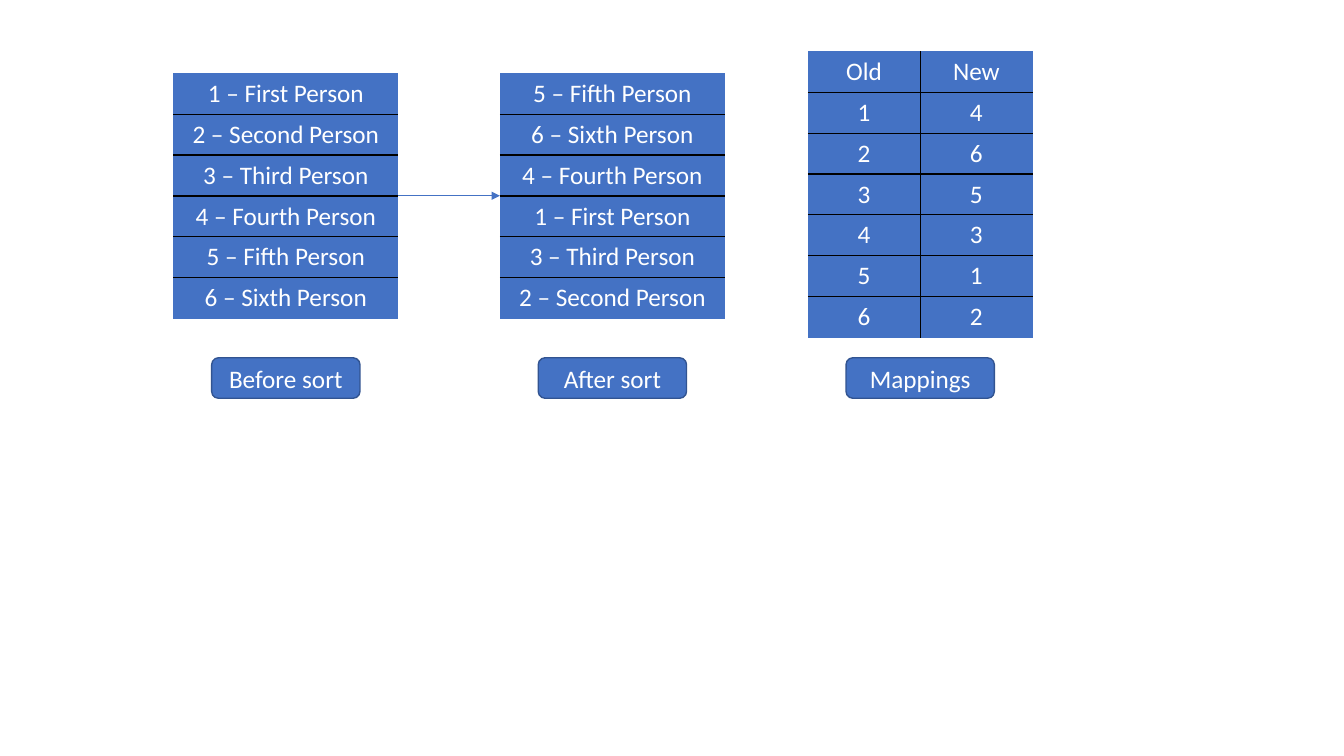
import dataclasses

import pptx
import pptx.dml.color
import pptx.enum.shapes
import pptx.enum.text
import pptx.oxml
import pptx.oxml.ns
import pptx.util


@dataclasses.dataclass(frozen=True)
class Theme:
    blue: str = "4472C4"
    outline: str = "325491"
    rule: str = "000000"
    text: str = "FFFFFF"
    font: str = "Calibri"
    size: int = 18
    rule_width: float = 1
    arrow_width: float = 0.5


@dataclasses.dataclass(frozen=True)
class Box:
    left: int
    top: int
    width: int
    height: int


THEME = Theme()
SLIDE_WIDTH = pptx.util.Inches(13.33)
SLIDE_HEIGHT = pptx.util.Inches(7.5)
ROW_SHARE = 5.4
LIST_WIDTH_SHARE = 16.73
LABEL_TOP_SHARE = 47.33
LABEL_WIDTH_SHARE = 11.03
LABEL_HEIGHT_SHARE = 5.35

PEOPLE = ["First", "Second", "Third", "Fourth", "Fifth", "Sixth"]
BEFORE = [1, 2, 3, 4, 5, 6]
AFTER = [5, 6, 4, 1, 3, 2]


def across(percent):
    return round(SLIDE_WIDTH * percent / 100)


def down(percent):
    return round(SLIDE_HEIGHT * percent / 100)


def rgb(value):
    return pptx.dml.color.RGBColor.from_string(value)


def fill_text(text_frame, text):
    text_frame.text = text
    paragraph = text_frame.paragraphs[0]
    paragraph.alignment = pptx.enum.text.PP_ALIGN.CENTER
    for run in paragraph.runs:
        run.font.name = THEME.font
        run.font.size = pptx.util.Pt(THEME.size)
        run.font.color.rgb = rgb(THEME.text)


def rule_cell(cell, inner_sides):
    properties = cell._tc.get_or_add_tcPr()
    for side in "LRTB":
        if side in inner_sides:
            paint = f'<a:solidFill><a:srgbClr val="{THEME.rule}"/></a:solidFill>'
        else:
            paint = "<a:noFill/>"
        properties.append(pptx.oxml.parse_xml(
            f'<a:ln{side} {pptx.oxml.ns.nsdecls("a")} '
            f'w="{pptx.util.Pt(THEME.rule_width)}">{paint}</a:ln{side}>'))


def draw_table(slide, box, rows):
    row_count, column_count = len(rows), len(rows[0])
    table = slide.shapes.add_table(
        row_count, column_count, box.left, box.top, box.width, box.height).table
    table.first_row = False
    table.horz_banding = False
    for r, values in enumerate(rows):
        for c, value in enumerate(values):
            inner = {"L": c > 0, "R": c < column_count - 1,
                     "T": r > 0, "B": r < row_count - 1}
            cell = table.cell(r, c)
            rule_cell(cell, [side for side, shown in inner.items() if shown])
            cell.fill.solid()
            cell.fill.fore_color.rgb = rgb(THEME.blue)
            fill_text(cell.text_frame, value)


def draw_label(slide, box, text):
    width = across(LABEL_WIDTH_SHARE)
    label = slide.shapes.add_shape(
        pptx.enum.shapes.MSO_SHAPE.FLOWCHART_ALTERNATE_PROCESS,
        box.left + (box.width - width) // 2, down(LABEL_TOP_SHARE),
        width, down(LABEL_HEIGHT_SHARE))
    label.shadow.inherit = False
    label.fill.solid()
    label.fill.fore_color.rgb = rgb(THEME.blue)
    label.line.color.rgb = rgb(THEME.outline)
    label.line.width = pptx.util.Pt(1)
    label.text_frame.vertical_anchor = pptx.enum.text.MSO_ANCHOR.MIDDLE
    fill_text(label.text_frame, text)


def draw_arrow(slide, start, end):
    middle = start.top + start.height // 2
    arrow = slide.shapes.add_connector(
        pptx.enum.shapes.MSO_CONNECTOR.STRAIGHT,
        start.left + start.width, middle, end.left, middle)
    arrow.line.color.rgb = rgb(THEME.blue)
    arrow.line.width = pptx.util.Pt(THEME.arrow_width)
    namespace = pptx.oxml.ns.nsdecls("a")
    arrow.line._get_or_add_ln().append(
        pptx.oxml.parse_xml(f'<a:tailEnd {namespace} type="triangle"/>'))
    arrow._element.spPr.append(pptx.oxml.parse_xml(f"<a:effectLst {namespace}/>"))


def draw_panel(slide, left_share, top_share, rows, caption):
    box = Box(across(left_share), down(top_share),
              across(LIST_WIDTH_SHARE), down(ROW_SHARE * len(rows)))
    draw_table(slide, box, rows)
    draw_label(slide, box, caption)
    return box


def person_rows(order):
    return [[f"{number} – {PEOPLE[number - 1]} Person"] for number in order]


def mapping_rows():
    return [["Old", "New"]] + [
        [str(number), str(AFTER.index(number) + 1)] for number in BEFORE]


def draw_sort_slide(slide):
    before = draw_panel(slide, 12.9, 9.7, person_rows(BEFORE), "Before sort")
    after = draw_panel(slide, 37.2, 9.7, person_rows(AFTER), "After sort")
    draw_arrow(slide, before, after)
    draw_panel(slide, 60.1, 6.8, mapping_rows(), "Mappings")


def main():
    presentation = pptx.Presentation()
    presentation.slide_width = SLIDE_WIDTH
    presentation.slide_height = SLIDE_HEIGHT
    draw_sort_slide(presentation.slides.add_slide(presentation.slide_layouts[6]))
    presentation.save("out.pptx")


if __name__ == "__main__":
    main()
